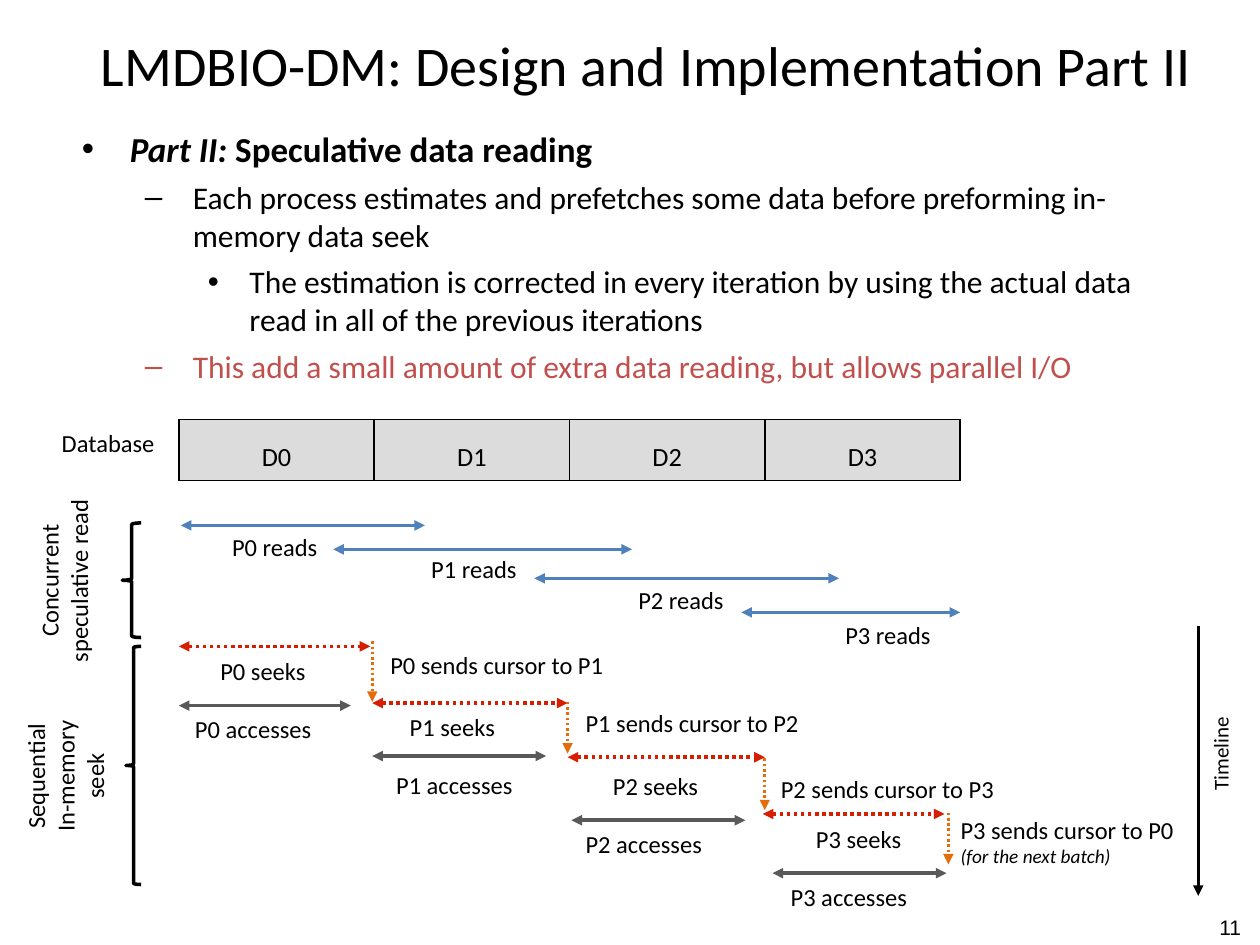
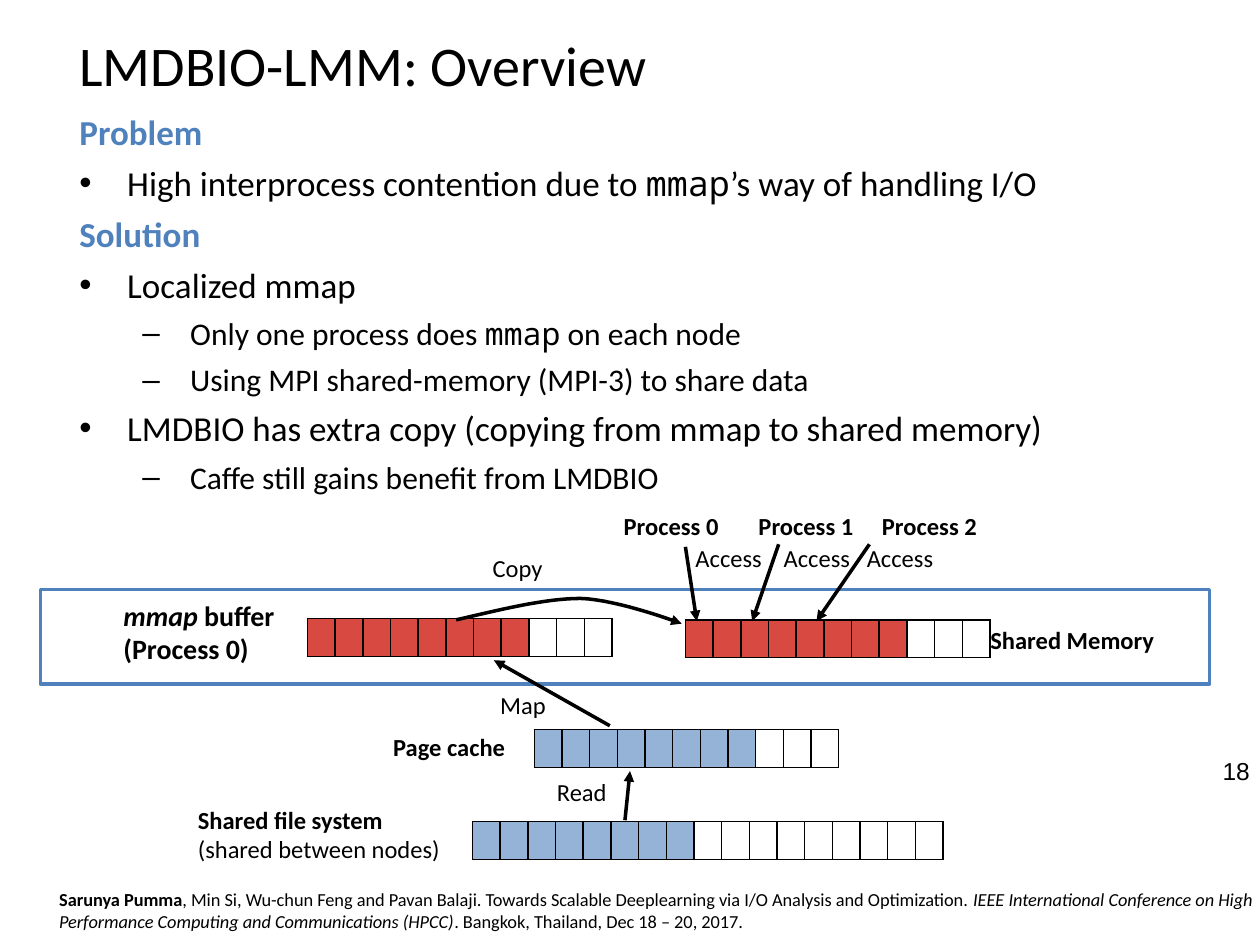
"""Build two slides on LMDBIO: speculative reading and the localized mmap overview."""
from lxml.etree import SubElement
from pptx import Presentation
from pptx.dml.color import RGBColor
from pptx.enum.dml import MSO_LINE
from pptx.enum.shapes import MSO_CONNECTOR, MSO_SHAPE
from pptx.enum.text import MSO_ANCHOR, MSO_AUTO_SIZE, PP_ALIGN
from pptx.oxml.ns import qn
from pptx.util import Inches, Pt

BLACK = RGBColor(0x00, 0x00, 0x00)
BLUE = RGBColor(0x4F, 0x81, 0xBD)
BRICK = RGBColor(0xC0, 0x50, 0x4D)
SEEK_RED = RGBColor(0xD8, 0x1E, 0x00)
ORANGE = RGBColor(0xE4, 0x6C, 0x0A)
GRAY = RGBColor(0x59, 0x59, 0x59)
LIGHT_GRAY = RGBColor(0xDC, 0xDC, 0xDC)
CACHE_BLUE = RGBColor(0x95, 0xB3, 0xD7)
MEMORY_RED = RGBColor(0xD8, 0x49, 0x42)
FONT, MONO, NUMBER_FONT = "Calibri", "Noto Sans Mono", "Arial"
INSET = 0.05
LEVEL_INDENTS = [(0.38, -0.38), (0.88, -0.38), (1.33, -0.33)]
LEVEL_SIZES = [20, 18, 18]

DESIGN_TITLE = "LMDBIO-DM: Design and Implementation Part II"
DESIGN_POINTS = [
    (0, BLACK, [("Part II: ", "bi"), ("Speculative data reading", "b")]),
    (1, BLACK, [("Each process estimates and prefetches some data before preforming "
                 "in-memory data seek", "")]),
    (2, BLACK, [("The estimation is corrected in every iteration by using the actual data "
                 "read in all of the previous iterations", "")]),
    (1, BRICK, [("This add a small amount of extra data reading, but allows parallel I/O", "")]),
]
DATABASE = ["D0", "D1", "D2", "D3"]
DATABASE_LEFT, DATABASE_TOP, DATABASE_COLUMN, DATABASE_ROW = 1.42, 3.33, 1.55, 0.48

# start column, end column, height, label column, label top
ACTIVITIES = {
    "reads": (BLUE, None, [
        (0.01, 1.26, 4.17, 0.24, 4.17), (0.79, 2.32, 4.36, 1.26, 4.35),
        (1.82, 3.38, 4.59, 2.32, 4.59), (2.88, 4, 4.86, 3.38, 4.87)]),
    "seeks": (SEEK_RED, MSO_LINE.ROUND_DOT, [
        (0, 0.98, 5.13, 0.18, 5.16), (0.99, 1.99, 5.58, 1.15, 5.6),
        (1.99, 3, 6.01, 2.19, 6.07), (2.99, 3.92, 6.46, 3.23, 6.49)]),
    "accesses": (GRAY, None, [
        (0, 0.88, 5.6, 0.05, 5.62), (0.99, 1.88, 6, 1.08, 6.06),
        (2.01, 2.9, 6.51, 2.05, 6.53), (3.04, 3.93, 6.93, 3.1, 6.95)]),
}
CURSOR_MOVES = [
    (0.99, 5.09, 5.57, 1.05, 5.11), (1.99, 5.57, 5.98, 2.05, 5.57),
    (3, 6.02, 6.43, 3.05, 6.09), (3.94, 6.45, 6.86, 3.97, 6.42),
]
NEXT_BATCH = "(for the next batch)"
PHASES = [
    (["Concurrent speculative read"], (0.22, 3.84, 0.57, 1.54), (0.97, 4.15, 0.15, 0.91)),
    (["Sequential", "In-memory seek"], (0.23, 5.47, 0.57, 1.38), (1, 5.13, 0.12, 1.89)),
]

OVERVIEW_TITLE = "LMDBIO-LMM: Overview"
OVERVIEW_POINTS = [
    (None, BLUE, [("Problem", "b")]),
    (0, BLACK, [("High interprocess contention due to ", ""), ("mmap", "m"),
                ("’s way of handling I/O", "")]),
    (None, BLUE, [("Solution", "b")]),
    (0, BLACK, [("Localized mmap", "")]),
    (1, BLACK, [("Only one process does ", ""), ("mmap", "m"), (" on each node", "")]),
    (1, BLACK, [("Using MPI shared-memory (MPI-3) to share data", "")]),
    (0, BLACK, [("LMDBIO has extra copy (copying from mmap to shared memory)", "")]),
    (1, BLACK, [("Caffe still gains benefit from LMDBIO", "")]),
]
BLOCK_WIDTH, BLOCK_HEIGHT, USED_BLOCKS = 0.22, 0.3, 8
BLOCK_STRIPS = [
    (3.75, 6.52, 17, CACHE_BLUE), (4.24, 5.79, 11, CACHE_BLUE),
    (2.44, 4.91, 11, MEMORY_RED), (5.44, 4.92, 11, MEMORY_RED),
]
PART_LABELS = [
    ((1.52, 6.34, 2.48, 0.57), 14,
     [[("Shared file system", "b")], [("(shared between nodes)", "")]]),
    ((3.07, 5.76, 1.26, 0.34), 14, [[("Page cache", "b")]]),
    ((7.81, 4.91, 1.79, 0.34), 14, [[("Shared Memory", "b")]]),
    ((0.93, 4.7, 1.68, 0.64), 16,
     [[("mmap ", "bi"), ("buffer", "b")], [("(Process 0)", "b")]]),
]
STEP_LABELS = [("Read", 4.37, 6.12), ("Map", 3.92, 5.43), ("Copy", 3.86, 4.34),
               ("Access", 5.47, 4.26), ("Access", 6.17, 4.26), ("Access", 6.83, 4.26)]
PROCESS_LEFTS = [4.9, 5.97, 6.95]
STEP_ARROWS = [
    ((4.96, 6.51), (5, 6.12)), ((4.84, 5.76), (3.92, 5.24)),
    ((5.44, 4.34), (5.53, 4.93)), ((6.18, 4.32), (5.97, 4.93)), ((6.9, 4.32), (6.48, 4.93)),
]
COPY_CURVE = [
    ((3.62, 4.92), (3.97, 4.84), (4.32, 4.75), (4.61, 4.75)),
    ((4.61, 4.75), (4.91, 4.76), (5.41, 4.95), (5.41, 4.95)),
]
CITATION = [
    ("Sarunya Pumma", "b"),
    (", Min Si, Wu-chun Feng and Pavan Balaji. Towards Scalable Deeplearning via I/O "
     "Analysis and Optimization. ", ""),
    ("IEEE International Conference on High Performance Computing and Communications (HPCC)", "i"),
    (". Bangkok, Thailand, Dec 18 – 20, 2017.", ""),
]


def inches(*lengths):
    return [Inches(length) for length in lengths]


def add_runs(paragraph, runs, size, color=BLACK, font=FONT):
    for text, style in runs:
        run = paragraph.add_run()
        run.text = text
        run.font.name = MONO if "m" in style else font
        run.font.size = Pt(size)
        run.font.bold = "b" in style
        run.font.italic = "i" in style
        run.font.color.rgb = color


def set_frame(frame, anchor):
    frame.word_wrap = True
    frame.auto_size = MSO_AUTO_SIZE.NONE
    frame.vertical_anchor = anchor
    frame.margin_left = frame.margin_right = Inches(INSET)
    frame.margin_top = frame.margin_bottom = Inches(INSET)


def add_label(slide, place, paragraphs, size=14, align=PP_ALIGN.LEFT,
              anchor=MSO_ANCHOR.TOP, font=FONT):
    label = slide.shapes.add_textbox(*inches(*place))
    frame = label.text_frame
    set_frame(frame, anchor)
    for index, runs in enumerate(paragraphs):
        paragraph = frame.add_paragraph() if index else frame.paragraphs[0]
        paragraph.alignment = align
        add_runs(paragraph, runs, size, font=font)
    return label


def place_placeholder(placeholder, place, anchor):
    placeholder.left, placeholder.top, placeholder.width, placeholder.height = inches(*place)
    set_frame(placeholder.text_frame, anchor)
    return placeholder.text_frame


def add_content_slide(deck, title, title_place, points, body_place, number, number_place, number_size):
    slide = deck.slides.add_slide(deck.slide_layouts[1])
    heading = place_placeholder(slide.shapes.title, title_place, MSO_ANCHOR.MIDDLE).paragraphs[0]
    heading.alignment = PP_ALIGN.LEFT
    add_runs(heading, [(title, "")], 32)
    body = place_placeholder(slide.placeholders[1], body_place, MSO_ANCHOR.TOP)
    for index, (level, color, runs) in enumerate(points):
        paragraph = body.add_paragraph() if index else body.paragraphs[0]
        properties = paragraph._p.get_or_add_pPr()
        margin, indent = (0, 0) if level is None else LEVEL_INDENTS[level]
        properties.set("marL", str(Inches(margin)))
        properties.set("indent", str(Inches(indent)))
        if level is None:
            SubElement(properties, qn("a:buNone"))
        paragraph.level = level or 0
        paragraph.space_before = Pt(5 if index else 0)
        add_runs(paragraph, runs, LEVEL_SIZES[level or 0], color)
    add_label(slide, number_place, [[(number, "")]], number_size, PP_ALIGN.RIGHT, font=NUMBER_FONT)
    return slide


def style_line(shape, color, width, dash=None, ends=()):
    shape.line.color.rgb = color
    shape.line.width = Pt(width)
    if dash:
        shape.line.dash_style = dash
    outline = shape._element.spPr.find(qn("a:ln"))
    for end in ends:
        SubElement(outline, qn(f"a:{end}")).set("type", "triangle")


def add_arrow(slide, start, end, color=BLACK, width=2, dash=None, ends=("tailEnd",)):
    arrow = slide.shapes.add_connector(MSO_CONNECTOR.STRAIGHT, *inches(*start, *end))
    style_line(arrow, color, width, dash, ends)
    SubElement(arrow._element.spPr, qn("a:effectLst"))


def add_outline(slide, kind, place, color):
    outline = slide.shapes.add_shape(kind, *inches(*place))
    outline.shadow.inherit = False
    outline.fill.background()
    style_line(outline, color, 2)


def add_strip(slide, left, top, column, row, fills):
    frame = slide.shapes.add_table(1, len(fills), *inches(left, top, column * len(fills), row))
    strip = frame.table
    strip.first_row = strip.horz_banding = False
    for index, fill in enumerate(fills):
        strip.columns[index].width = Inches(column)
        cell = strip.cell(0, index)
        cell.margin_left = cell.margin_right = 0
        cell.margin_top = cell.margin_bottom = Inches(INSET)
        cell.vertical_anchor = MSO_ANCHOR.MIDDLE
        properties = cell._tc.get_or_add_tcPr()
        for side in ("lnL", "lnR", "lnT", "lnB"):
            border = SubElement(properties, qn(f"a:{side}"), w=str(Pt(1)))
            paint = SubElement(border, qn("a:solidFill"))
            SubElement(paint, qn("a:srgbClr"), val=str(BLACK))
        if fill is None:
            cell.fill.background()
        else:
            cell.fill.solid()
            cell.fill.fore_color.rgb = fill
        cell.text_frame.paragraphs[0]._p.get_or_add_endParaRPr().set("sz", "800")
    return strip


def database_x(column):
    return DATABASE_LEFT + column * DATABASE_COLUMN


def curve_points(curve, steps=16):
    for p0, p1, p2, p3 in curve:
        for t in (step / steps for step in range(1, steps + 1)):
            yield inches(*((1 - t) ** 3 * a + 3 * (1 - t) ** 2 * t * b + 3 * (1 - t) * t ** 2 * c
                           + t ** 3 * d for a, b, c, d in zip(p0, p1, p2, p3)))


def build_design(deck):
    slide = add_content_slide(deck, DESIGN_TITLE, (0.75, -0.08, 9.08, 1.17), DESIGN_POINTS,
                              (0.6, 0.96, 8.83, 6.17), "11", (9.4, 7.21, 0.5, 0.28), 12)
    database = add_strip(slide, DATABASE_LEFT, DATABASE_TOP, DATABASE_COLUMN, DATABASE_ROW,
                         [LIGHT_GRAY] * len(DATABASE))
    for index, name in enumerate(DATABASE):
        paragraph = database.cell(0, index).text_frame.paragraphs[0]
        paragraph.alignment = PP_ALIGN.CENTER
        paragraph.line_spacing = 1.5
        add_runs(paragraph, [(name, "")], 15)
    add_label(slide, (0.44, 3.35, 1.3, 0.34), [[("Database", "")]])

    for verb, (color, dash, spans) in ACTIVITIES.items():
        for process, (start, end, y, label_column, label_top) in enumerate(spans):
            add_arrow(slide, (database_x(start), y), (database_x(end), y), color, 2, dash,
                      ("headEnd", "tailEnd"))
            add_label(slide, (database_x(label_column), label_top, 1.37, 0.34),
                      [[(f"P{process} {verb}", "")]])
    for process, (column, top, bottom, label_column, label_top) in enumerate(CURSOR_MOVES):
        x = database_x(column)
        add_arrow(slide, (x, top), (x, bottom), ORANGE, 1.5, MSO_LINE.ROUND_DOT)
        receiver = (process + 1) % len(CURSOR_MOVES)
        message = add_label(slide, (database_x(label_column), label_top, 1.93, 0.34),
                            [[(f"P{process} sends cursor to P{receiver}", "")]])
    message.height = Inches(0.57)
    add_runs(message.text_frame.add_paragraph(), [(NEXT_BATCH, "i")], 11)

    for lines, label_place, brace_place in PHASES:
        phase = add_label(slide, label_place, [[(line, "")] for line in lines],
                          align=PP_ALIGN.CENTER, anchor=MSO_ANCHOR.MIDDLE)
        phase.text_frame._txBody.bodyPr.set("vert", "vert270")
        add_outline(slide, MSO_SHAPE.LEFT_BRACE, brace_place, BLACK)
    add_arrow(slide, (9.51, 4.97), (9.51, 7.11), width=1.5)
    timeline = add_label(slide, (9.07, 5.83, 1.23, 0.3), [[("Timeline", "")]], 12, PP_ALIGN.CENTER)
    timeline.rotation = 270


def build_overview(deck):
    slide = add_content_slide(deck, OVERVIEW_TITLE, (0.58, -0.08, 8.5, 1.17), OVERVIEW_POINTS,
                              (0.58, 0.83, 8.5, 6.17), "18", (9.47, 5.95, 0.5, 0.29), 14)
    add_outline(slide, MSO_SHAPE.RECTANGLE, (0.32, 4.68, 9.28, 0.75), BLUE)
    for left, top, blocks, color in BLOCK_STRIPS:
        fills = [color] * USED_BLOCKS + [None] * (blocks - USED_BLOCKS)
        add_strip(slide, left, top, BLOCK_WIDTH, BLOCK_HEIGHT, fills)
    for place, size, paragraphs in PART_LABELS:
        add_label(slide, place, paragraphs, size)
    for step, left, top in STEP_LABELS:
        add_label(slide, (left, top, 0.8, 0.34), [[(step, "")]])
    for process, left in enumerate(PROCESS_LEFTS):
        add_label(slide, (left, 4.01, 1.1, 0.34), [[(f"Process {process}", "b")]])
    for start, end in STEP_ARROWS:
        add_arrow(slide, start, end)
    builder = slide.shapes.build_freeform(*inches(*COPY_CURVE[0][0]))
    builder.add_line_segments(list(curve_points(COPY_CURVE)), close=False)
    copy_arrow = builder.convert_to_shape()
    copy_arrow.shadow.inherit = False
    copy_arrow.fill.background()
    style_line(copy_arrow, BLACK, 2, ends=("tailEnd",))
    add_label(slide, (0.42, 7, 9.58, 0.47), [CITATION], 10.5)


def main():
    deck = Presentation()
    deck.slide_width, deck.slide_height = inches(10, 7.5)
    build_design(deck)
    build_overview(deck)
    deck.save("out.pptx")


if __name__ == "__main__":
    main()
